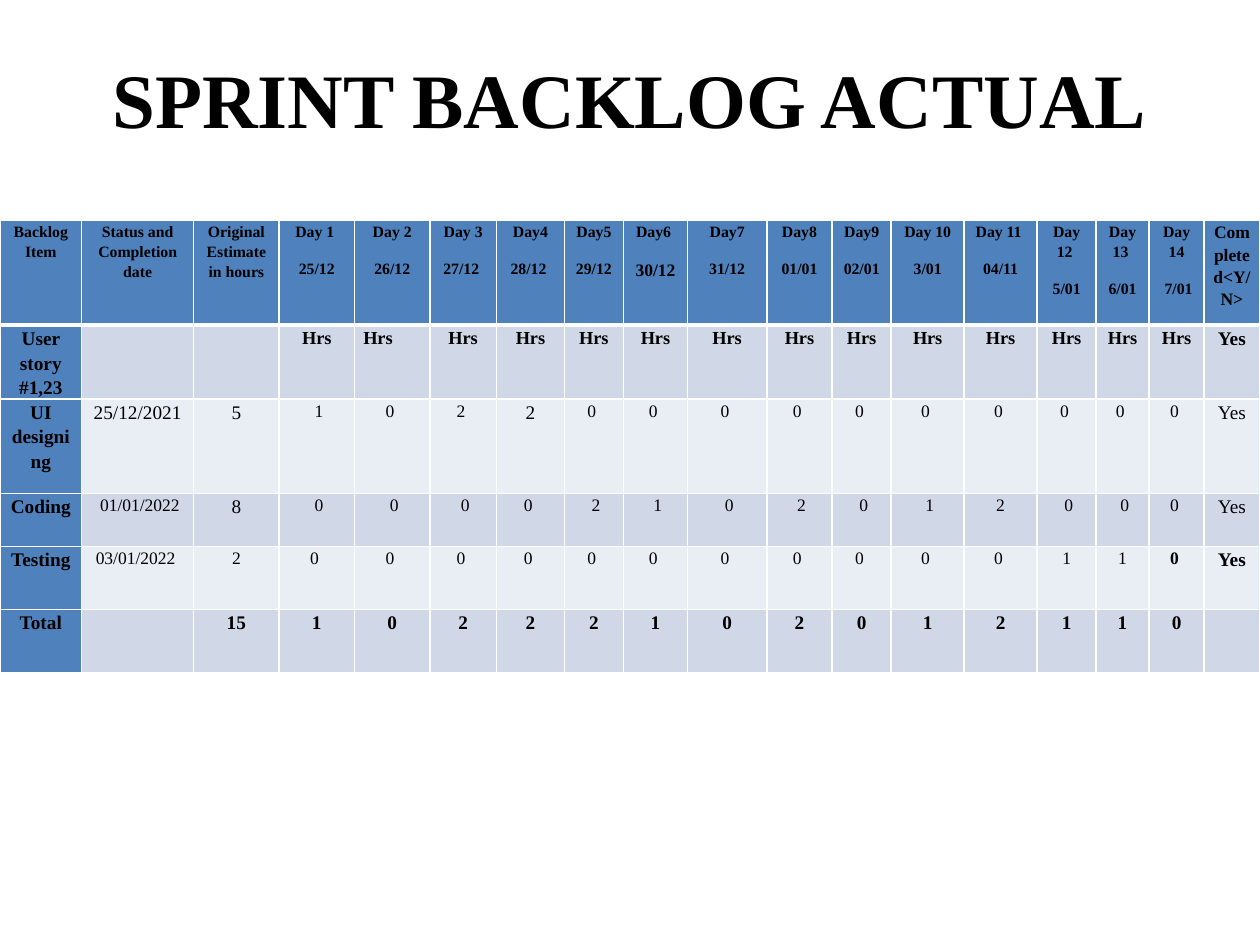
from lxml.etree import SubElement
from pptx import Presentation
from pptx.dml.color import RGBColor
from pptx.enum.text import MSO_ANCHOR, PP_ALIGN
from pptx.oxml.ns import qn
from pptx.util import Inches, Pt

FONT = "Times New Roman"
BLUE, BAND, PALE = "4F81BD", "D0D8E8", "E9EDF4"
COLS = [0.65, 0.89, 0.68, 0.6, 0.6, 0.53, 0.54, 0.47, 0.51,
        0.63, 0.52, 0.47, 0.58, 0.58, 0.47, 0.42, 0.44, 0.44]
ROWS = [0.83, 0.42, 0.75, 0.42, 0.5, 0.5]

# "|" parts cells, "/ " parts lines in a cell, "~" is a no-break space
DATA = [
    "Backlog Item|Status and Completion date|Original Estimate in hours|"
    "Day 1 / 25/12|Day 2/ 26/12|Day 3/ 27/12 |Day4/ 28/12 |Day5/ 29/12|"
    "Day6 / 30/12|Day7/ 31/12|Day8/ 01/01|Day9/ 02/01|Day 10/ 3/01|"
    "Day 11 / 04/11|Day 12 / 5/01|Day 13 / 6/01|Day 14/  7/01|Completed<Y/N>",
    "User story #1,23|||" + "Hrs|" * 14 + "Yes",
    "UI designing|25/12/2021|5|~1|0~|2~|2|" + "0~|" * 10 + "Yes",
    "Coding|~01/01/2022|8|~0|~0|~0|0~|~2|~1|~0|~2|~0|~1|2|~0|~0|0~|Yes",
    "Testing|03/01/2022~|2|" + "0~|" * 11 + "1|1|0~|Yes",
    "Total||15|1|0|2|2|2|1|0|2|0|1|2|1|1|0|",
]
HEAD, STORY, DESIGN, CODE, TEST, TOTAL = range(len(ROWS))
LAST = len(COLS) - 1
SIZES = {(HEAD, LAST): 10, (DESIGN, 1): 11, (DESIGN, 2): 11,
         (DESIGN, 6): 11, (CODE, 2): 11}


def tint(code):
    return RGBColor.from_string(code)


def style(para, size, bold):
    for run in para.runs:
        font = run.font
        font.name, font.size, font.bold = FONT, Pt(size), bold
        font.color.rgb = tint("000000")


def size_of(row, col):
    if (row, col) in SIZES:
        return SIZES[row, col]
    if row == HEAD:
        return 9
    if row == TOTAL or col in (0, LAST):
        return 11
    return 10.5 if row == STORY else 10


def is_bold(row, col):
    return (row in (HEAD, STORY, TOTAL) or col == 0
            or (row == TEST and col >= LAST - 1))


def fill_of(row, col):
    if row == HEAD or col == 0:
        return BLUE
    return BAND if row % 2 else PALE


def rule(cell, row):
    # White grid, heavier under the header
    props = cell._tc.get_or_add_tcPr()
    for side in "LRTB":
        heavy = (row, side) in ((HEAD, "B"), (STORY, "T"))
        line = SubElement(props, qn("a:ln" + side), w=str(Pt(3 if heavy else 1)))
        solid = SubElement(line, qn("a:solidFill"))
        SubElement(solid, qn("a:srgbClr"), val="FFFFFF")


def fill_cell(cell, text, row, col):
    cell.margin_left = cell.margin_right = Inches(0.07)
    cell.margin_top = cell.margin_bottom = 0
    rule(cell, row)
    cell.fill.solid()
    cell.fill.fore_color.rgb = tint(fill_of(row, col))
    if not text:
        return
    cell.text_frame.text = text.replace("/ ", "\n").replace("~", chr(160))
    for para in cell.text_frame.paragraphs:
        para.alignment = PP_ALIGN.LEFT if (row, col) == (STORY, 4) else PP_ALIGN.CENTER
        para.line_spacing = 1.15
        para.space_after = Pt(10)
        # One date in the header is set a little larger
        size = 10 if para.text == "30/12" else size_of(row, col)
        style(para, size, is_bold(row, col))


def add_title(slide, left, top, width, height):
    title = slide.shapes.title
    title.left, title.top, title.width, title.height = left, top, width, height
    frame = title.text_frame
    frame.text = "SPRINT BACKLOG ACTUAL"
    frame.vertical_anchor = MSO_ANCHOR.MIDDLE
    frame.paragraphs[0].alignment = PP_ALIGN.CENTER
    style(frame.paragraphs[0], 44, True)


def add_backlog(slide, left, top, width, height):
    table = slide.shapes.add_table(len(ROWS), len(COLS), left, top, width, height).table
    table.first_row = table.horz_banding = False
    for col, share in zip(table.columns, COLS):
        col.width = int(width * share / sum(COLS))
    for row, share in zip(table.rows, ROWS):
        row.height = int(height * share / sum(ROWS))
    for r, line in enumerate(DATA):
        for c, text in enumerate(line.split("|")):
            fill_cell(table.cell(r, c), text, r, c)


def main():
    deck = Presentation()
    deck.slide_width, deck.slide_height = Inches(10), Inches(7.5)
    wide, high = deck.slide_width, deck.slide_height
    slide = deck.slides.add_slide(deck.slide_layouts[5])
    add_title(slide, int(wide * 0.05), int(high * 0.04), int(wide * 0.9), Inches(0.95))
    add_backlog(slide, 0, Inches(1.75), wide, Inches(sum(ROWS)))
    deck.save("out.pptx")


if __name__ == "__main__":
    main()
